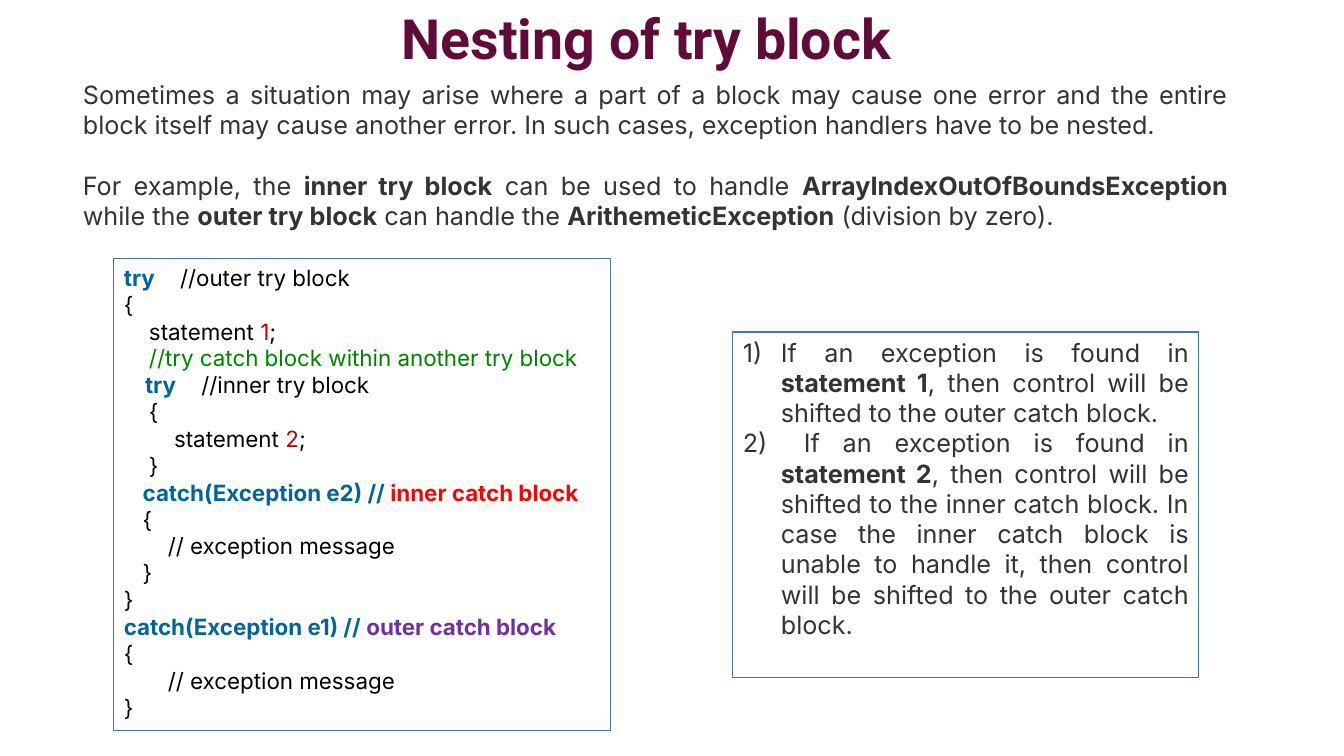
from dataclasses import dataclass

from lxml import etree
from pptx import Presentation
from pptx import util as u
from pptx.dml.color import RGBColor
from pptx.enum import shapes, text
from pptx.oxml import ns

EMU_PER_INCH = 914400
PX_PER_INCH = 100.8
COLORS = {
    "title": "610B38",
    "body": "333333",
    "code": "000000",
    "keyword": "006699",
    "number": "C00000",
    "comment": "008200",
    "inner": "FF0000",
    "outer": "7030A0",
    "border": "4472C4",
}


@dataclass(frozen=True)
class Span:
    words: str
    color: str = "body"
    bold: bool = False


@dataclass(frozen=True)
class Block:
    left: int
    top: int
    width: int
    height: int
    size: float
    lines: list[list[Span]]
    font: str = "Inter"
    align: text.PP_ALIGN = text.PP_ALIGN.JUSTIFY
    anchor: text.MSO_ANCHOR = text.MSO_ANCHOR.TOP
    bordered: bool = False
    numbered: bool = False
    gap: int = 0
    line_spacing: float = 1.0


def code(words: str) -> Span:
    return Span(words, "code")


def key(words: str) -> Span:
    return Span(words, "keyword", True)


def strong(words: str) -> Span:
    return Span(words, bold=True)


TITLE = Block(
    43, 4, 1207, 75, 39.6,
    [[Span("Nesting of try block", "title", True)]],
    font="Roboto", align=text.PP_ALIGN.CENTER,
    anchor=text.MSO_ANCHOR.MIDDLE, line_spacing=0.9,
)
INTRO = Block(
    73, 74, 1165, 194, 18,
    [
        [Span("Sometimes a situation may arise where a part of a block may cause "
              "one error and the entire block itself may cause another error. "
              "In such cases, exception handlers have to be nested.")],
        [
            Span("For example, the "), strong("inner try block"),
            Span(" can be used to handle "),
            strong("ArrayIndexOutOfBoundsException"),
            Span(" while the "), strong("outer try block"),
            Span(" can handle the "), strong("ArithemeticException"),
            Span(" (division by zero)."),
        ],
    ],
    gap=22,
)
LISTING = Block(
    114, 259, 497, 472, 16,
    [
        [key("try"), code("    //outer try block")],
        [code("{")],
        [code("    statement "), Span("1", "number"), code(";")],
        [Span("    //try catch block within another try block", "comment")],
        [key("    try"), code("    //inner try block")],
        [code("    {")],
        [code("        statement "), Span("2", "number"), code(";")],
        [code("    }")],
        [code("   "), key("catch(Exception e2) // "),
         Span("inner catch block", "inner", True)],
        [code("   {")],
        [code("       // exception message")],
        [code("   }")],
        [code("}")],
        [key("catch(Exception e1) // "), Span("outer catch block", "outer", True)],
        [code("{")],
        [code("       // exception message")],
        [code("}")],
    ],
    bordered=True,
)
NOTES = Block(
    733, 332, 466, 346, 18,
    [
        [Span("If an exception is found in "), strong("statement 1"),
         Span(", then control will be shifted to the outer catch block.")],
        [Span(" If an exception is found in "), strong("statement 2"),
         Span(", then control will be shifted to the inner catch block. In case "
              "the inner catch block is unable to handle it, then control will "
              "be shifted to the outer catch block.")],
    ],
    bordered=True, numbered=True,
)


def px(length: int) -> u.Emu:
    return u.Emu(round(length * EMU_PER_INCH / PX_PER_INCH))


def rgb(name: str) -> RGBColor:
    return RGBColor.from_string(COLORS[name])


def number_paragraph(para) -> None:
    """Give the paragraph a hanging automatic number such as 1)."""
    properties = para._p.get_or_add_pPr()
    properties.set("marL", str(px(38)))
    properties.set("indent", str(-px(38)))
    etree.SubElement(properties, ns.qn("a:buFont"), typeface="+mj-lt")
    etree.SubElement(properties, ns.qn("a:buAutoNum"), type="arabicParenR")


def add_block(page, block: Block) -> None:
    place = [px(n) for n in (block.left, block.top, block.width, block.height)]
    if block.bordered:
        box = page.shapes.add_shape(shapes.MSO_SHAPE.RECTANGLE, *place)
        box.shadow.inherit = False
        box.fill.background()
        box.line.color.rgb = rgb("border")
        box.line.width = u.Pt(0.75)
    else:
        box = page.shapes.add_textbox(*place)
    frame = box.text_frame
    frame.word_wrap = True
    frame.vertical_anchor = block.anchor

    for index, line in enumerate(block.lines):
        para = frame.add_paragraph() if index else frame.paragraphs[0]
        if block.numbered:
            number_paragraph(para)
        para.alignment = block.align
        if block.line_spacing != 1:
            para.line_spacing = block.line_spacing
        if index and block.gap:
            para.space_before = u.Pt(block.gap)
        for span in line:
            run = para.add_run()
            run.text = span.words
            run.font.name = block.font
            run.font.size = u.Pt(block.size)
            run.font.bold = span.bold
            run.font.color.rgb = rgb(span.color)


def main() -> None:
    deck = Presentation()
    deck.slide_width, deck.slide_height = px(1344), px(756)
    page = deck.slides.add_slide(deck.slide_layouts[6])
    for block in (TITLE, INTRO, LISTING, NOTES):
        add_block(page, block)
    deck.save("out.pptx")


if __name__ == "__main__":
    main()
